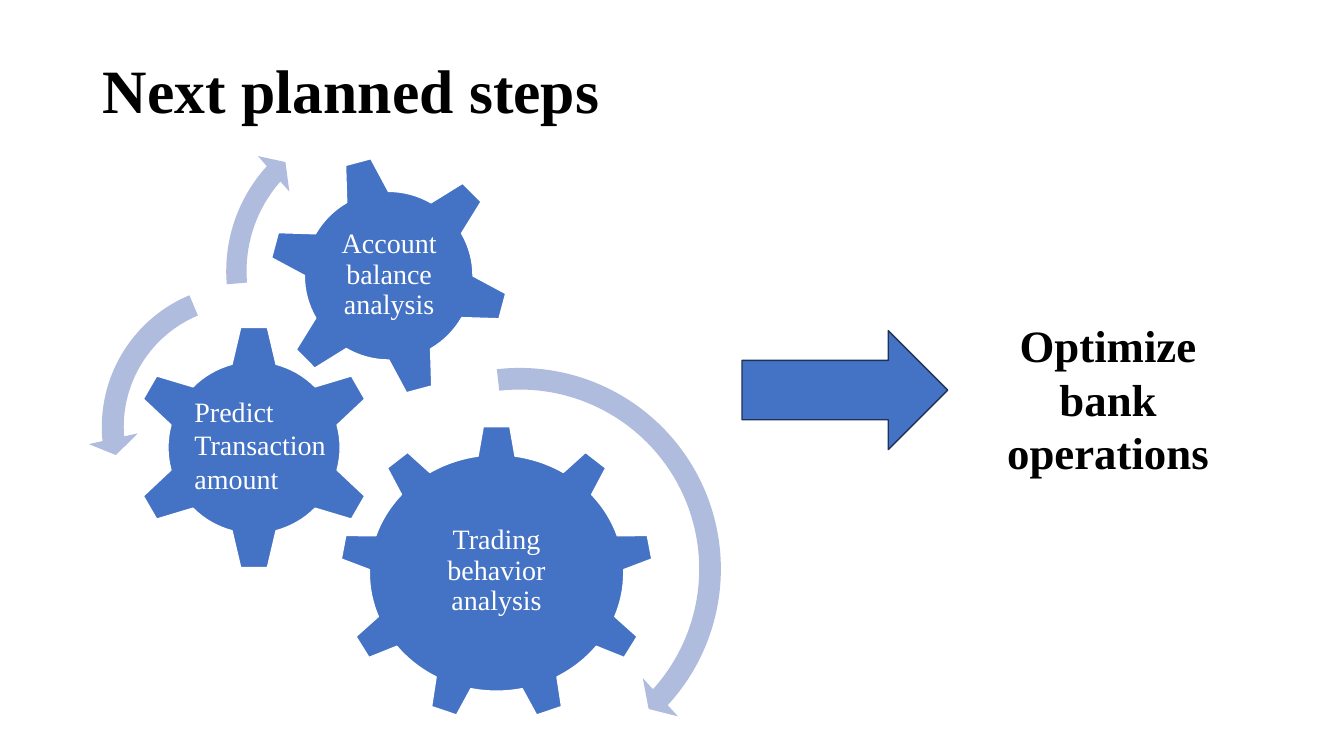
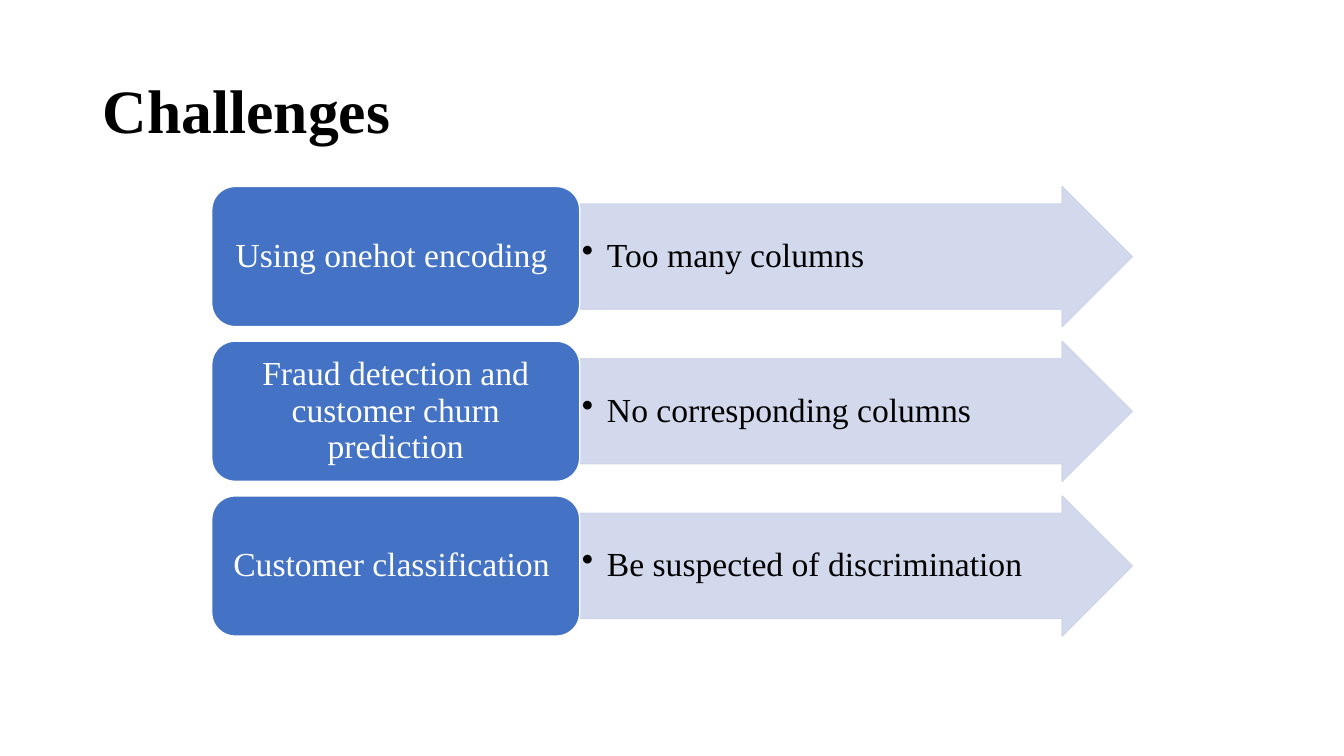
from dataclasses import dataclass

from pptx import Presentation
from pptx.dml.color import RGBColor
from pptx.enum.shapes import MSO_SHAPE
from pptx.enum.text import MSO_ANCHOR, PP_ALIGN
from pptx.oxml.ns import qn
from pptx.util import Inches, Pt
from lxml import etree

LEFT, CENTER = PP_ALIGN.LEFT, PP_ALIGN.CENTER
TOP, MIDDLE = MSO_ANCHOR.TOP, MSO_ANCHOR.MIDDLE
GEAR_6, GEAR_9 = MSO_SHAPE.GEAR_6, MSO_SHAPE.GEAR_9
TURN_RIGHT, TURN_LEFT = MSO_SHAPE.CIRCULAR_ARROW, MSO_SHAPE.LEFT_CIRCULAR_ARROW
RIGHT_ARROW, ROUNDED = MSO_SHAPE.RIGHT_ARROW, MSO_SHAPE.ROUNDED_RECTANGLE


@dataclass(frozen=True)
class Theme:
    font: str = "Times New Roman"
    black: str = "000000"
    white: str = "FFFFFF"
    blue: str = "4472C4"
    navy: str = "1E3256"
    turn: str = "B0BCDE"
    pale: str = "CFD5EA"
    title: int = 44
    result: int = 32
    row: int = 24
    gear: int = 20


theme = Theme()


def add_shape(page, kind, place, fill, line=None, adjust=()):
    """Add a flat preset shape; place is left, top, width, height in inches."""
    shape = page.shapes.add_shape(kind, *map(Inches, place))
    shape.shadow.inherit = False
    shape.fill.solid()
    shape.fill.fore_color.rgb = RGBColor.from_string(fill)
    if line:
        shape.line.color.rgb = RGBColor.from_string(line)
        shape.line.width = Pt(1)
    else:
        shape.line.fill.background()
    for index, value in enumerate(adjust):
        shape.adjustments[index] = value
    return shape


def write(box, lines, size, color, align=CENTER, anchor=MIDDLE, bold=False,
          spacing=0.9, inset=(0.1, 0.05)):
    """Fill a box with one paragraph per line; inset is side, top in inches."""
    frame = box.text_frame
    frame.word_wrap = True
    frame.vertical_anchor = anchor
    frame.margin_left = frame.margin_right = Inches(inset[0])
    frame.margin_top = frame.margin_bottom = Inches(inset[1])
    for index, line in enumerate(lines):
        para = frame.add_paragraph() if index else frame.paragraphs[0]
        para.alignment = align
        para.line_spacing = spacing
        span = para.add_run()
        span.text = line
        span.font.name = theme.font
        span.font.size = Pt(size)
        span.font.bold = bold
        span.font.color.rgb = RGBColor.from_string(color)


deck = Presentation()
deck.slide_width, deck.slide_height = Inches(13.33), Inches(7.5)

# Pages with their titles
pages = []
for heading, top in (("Next planned steps", 0.2), ("Challenges", 0.4)):
    page = deck.slides.add_slide(deck.slide_layouts[5])
    title = page.shapes.title
    title.left, title.top = Inches(0.92), Inches(top)
    title.width, title.height = Inches(11.5), Inches(1.45)
    write(title, [heading], theme.title, theme.black, LEFT, bold=True)
    pages.append(page)
steps_page, challenges_page = pages

# Gears
for kind, place, angle in (
    (GEAR_9, (3.37, 4.22, 3.11, 2.93), 0),
    (GEAR_6, (1.3, 3.22, 2.44, 2.44), 0),
    (GEAR_6, (2.66, 1.54, 2.39, 2.39), 345),
):
    gear = add_shape(steps_page, kind, place, theme.blue, theme.white)
    gear.rotation = angle

# Turning arrows around the gears
for kind, place, adjust in (
    (TURN_RIGHT, (3.01, 3.5, 4.29, 4.29), (0.05, 2.99, 25.42, 158.08, 0.06)),
    (TURN_LEFT, (0.87, 2.68, 3.11, 3.11), (0.07, 4.3, 104.89, 148.38, 0.08)),
    (TURN_RIGHT, (2.11, 1.01, 3.36, 3.36), (0.06, 3.94, 133.14, 105.08, 0.07)),
):
    add_shape(steps_page, kind, place, theme.turn, adjust=adjust)

# Gear labels stay upright, so they are separate from the gears
for place, label in (
    ((3.98, 4.91, 1.89, 1.51), "Trading behavior analysis"),
    ((3.19, 2.06, 1.34, 1.34), "Account balance analysis"),
):
    box = steps_page.shapes.add_textbox(*map(Inches, place))
    write(box, [label], theme.gear, theme.white, inset=(0.03, 0.03))
box = steps_page.shapes.add_textbox(*map(Inches, (1.83, 3.86, 3.33, 1.45)))
write(box, ["Predict", "Transaction", "amount"], theme.gear, theme.white,
      LEFT, TOP, spacing=1.0)

# Result of the steps
add_shape(steps_page, RIGHT_ARROW, (7.36, 3.28, 2.04, 1.18), theme.blue, theme.navy)
box = steps_page.shapes.add_textbox(*map(Inches, (9.64, 3.1, 2.7, 2.02)))
write(box, ["Optimize bank operations"], theme.result, theme.black,
      anchor=TOP, bold=True, spacing=1.0)

# Challenge rows: a topic and an arrow with its problem
row_top, row_step, row_height = 1.85, 1.535, 1.39
topic_left, topic_width, arrow_width = 2.1, 3.65, 5.48
challenges = (
    ("Using onehot encoding ", "Too many columns"),
    ("Fraud detection and customer churn prediction", "No corresponding columns"),
    ("Customer classification ", "Be suspected of discrimination"),
)
for index, (topic, problem) in enumerate(challenges):
    top = row_top + index * row_step
    arrow = add_shape(
        challenges_page, RIGHT_ARROW,
        (topic_left + topic_width, top, arrow_width, row_height),
        theme.pale, theme.pale, (0.75, 0.5))
    for color in arrow.element.spPr.iter(qn("a:srgbClr")):
        etree.SubElement(color, qn("a:alpha"), val="90000")
    write(arrow, [problem], theme.row, theme.black, LEFT, inset=(0.02, 0.02))
    layout = arrow.text_frame.paragraphs[0]._p.get_or_add_pPr()
    layout.set("marL", str(Inches(0.25)))
    layout.set("indent", str(-Inches(0.25)))
    etree.SubElement(layout, qn("a:buChar"), char="•")

    card = add_shape(challenges_page, ROUNDED,
                     (topic_left, top, topic_width, row_height),
                     theme.blue, theme.white)
    write(card, [topic], theme.row, theme.white, inset=(0.1, 0.05))

deck.save("out.pptx")
